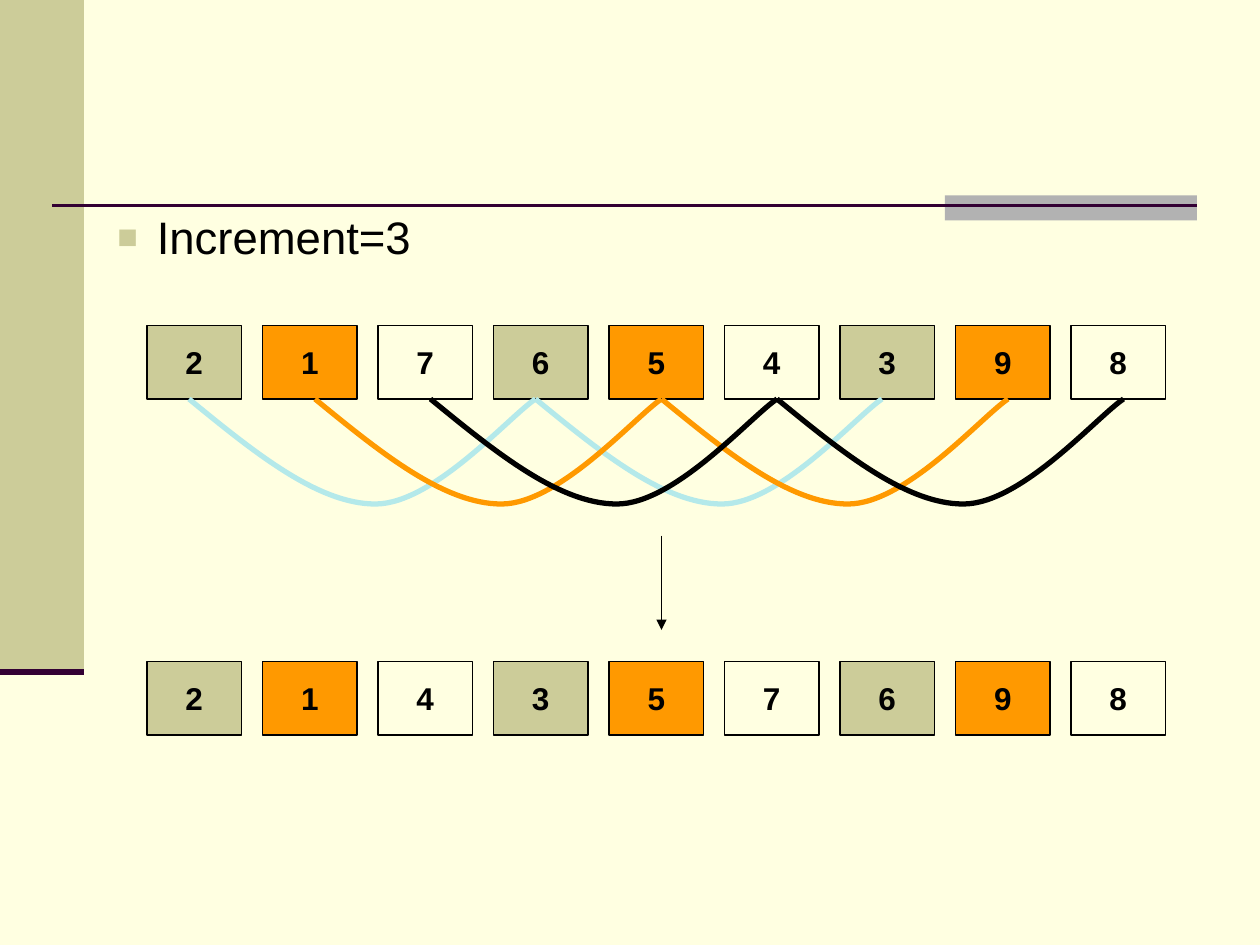
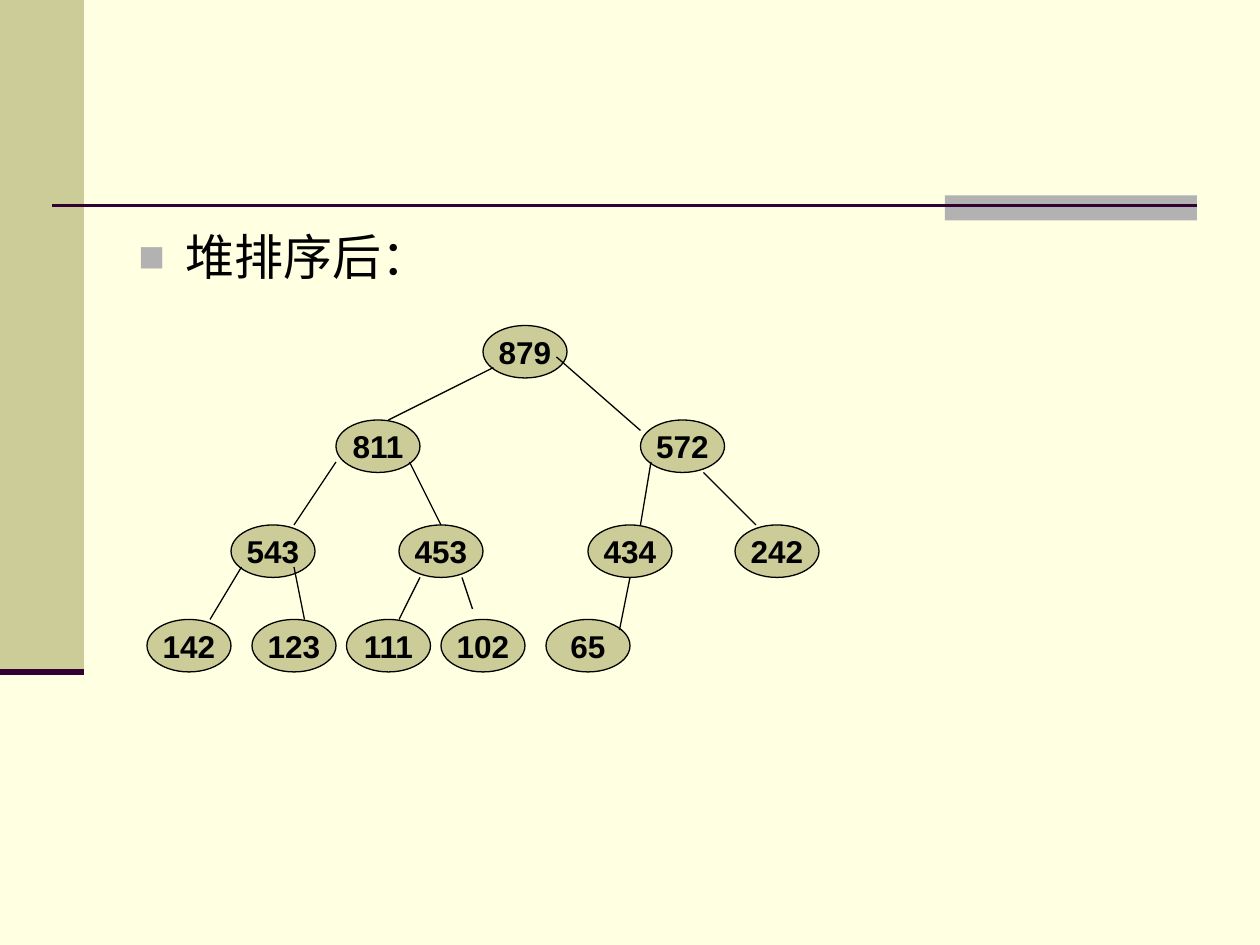
"""Builds two slides on sorting: a Shell sort pass and a sorted heap."""
from dataclasses import dataclass
from typing import NamedTuple, Optional

from lxml.etree import SubElement
from pptx import Presentation
from pptx.dml.color import RGBColor
from pptx.enum.shapes import MSO_CONNECTOR as Link, MSO_SHAPE as Kind
from pptx.enum.text import MSO_ANCHOR as Anchor, PP_ALIGN as Align
from pptx.oxml.ns import qn
from pptx.presentation import Presentation as Deck
from pptx.shapes.base import BaseShape as Shape
from pptx.slide import Slide
from pptx.util import Pt


@dataclass(frozen=True)
class Theme:
    font: str = "Arial"
    paper: str = "FFFFE1"
    olive: str = "CCCC99"
    orange: str = "FF9900"
    aqua: str = "B4E9EA"
    gray: str = "B2B2B2"
    plum: str = "330033"
    ink: str = "000000"
    label: float = 18
    thin: float = 0.75
    rule: float = 1.5
    arc: float = 3
    edge: float = 3.5


class Box(NamedTuple):
    left: float
    top: float
    width: float
    height: float


class Bullet(NamedTuple):
    color: str
    scale: int
    margin: float
    hang: float


class Node(NamedTuple):
    label: str
    left: float
    level: int


class Line(NamedTuple):
    x1: float
    y1: float
    x2: float
    y2: float


THEME = Theme()
CELL = Box(84, 186, 54, 42)
PITCH = 66
STEP = 3
BEFORE = "217654398"
AFTER = "214357698"
AFTER_TOP = 378
FILLS = (THEME.olive, THEME.orange, THEME.paper)
ARCS = ((108, THEME.aqua), (180, THEME.orange), (246, THEME.ink))
CURVE = ((36.7, 30), (73.4, 60), (106.5, 60), (139.7, 60), (183, 10), (198, 0))
LEVELS = (186, 240, 300, 354)
NODES = (
    Node("879", 276, 0), Node("811", 192, 1), Node("572", 366, 1),
    Node("543", 132, 2), Node("453", 228, 2), Node("434", 336, 2),
    Node("242", 420, 2), Node("142", 84, 3), Node("123", 144, 3),
    Node("111", 198, 3), Node("102", 252, 3), Node("65", 312, 3),
)
EDGES = (
    Line(282, 210, 222, 240), Line(318, 204, 366, 246),
    Line(192, 264, 168, 300), Line(234, 264, 252, 300),
    Line(372, 264, 366, 300), Line(402, 270, 432, 300),
    Line(138, 324, 120, 354), Line(168, 324, 174, 354),
    Line(240, 330, 228, 354), Line(264, 330, 270, 348),
    Line(360, 330, 354, 360),
)


def hue(code: str) -> RGBColor:
    return RGBColor.from_string(code)


def write(shape: Shape, text: str, *, size: float = THEME.label,
          bold: bool = False, align: Align = Align.LEFT,
          anchor: Anchor = Anchor.TOP, wrap: bool = True,
          bullet: Optional[Bullet] = None) -> None:
    frame = shape.text_frame
    frame.word_wrap = wrap
    frame.vertical_anchor = anchor
    para = frame.paragraphs[0]
    para.alignment = align
    if bullet:
        props = para._p.get_or_add_pPr()
        props.set("marL", str(Pt(bullet.margin)))
        props.set("indent", str(-Pt(bullet.hang)))
        tint = SubElement(props, qn("a:buClr"))
        SubElement(tint, qn("a:srgbClr"), val=bullet.color)
        SubElement(props, qn("a:buSzPct"), val=str(bullet.scale * 1000))
        SubElement(props, qn("a:buFont"), typeface=THEME.font)
        SubElement(props, qn("a:buChar"), char="■")
    run = para.add_run()
    run.text = text
    font = run.font
    font.name, font.size, font.bold = THEME.font, Pt(size), bold
    font.color.rgb = hue(THEME.ink)


def draw(slide: Slide, kind: Kind, box: Box, fill: str,
         text: str = "") -> None:
    shape = slide.shapes.add_shape(kind, *map(Pt, box))
    shape.shadow.inherit = False
    shape.fill.solid()
    shape.fill.fore_color.rgb = hue(fill)
    if text:
        shape.line.color.rgb = hue(THEME.ink)
        shape.line.width = Pt(THEME.thin)
        write(shape, text, bold=True, align=Align.CENTER,
              anchor=Anchor.MIDDLE, wrap=False)
    else:
        shape.line.fill.background()


def join(slide: Slide, line: Line, color: str = THEME.ink,
         width: float = THEME.thin, arrow: bool = False) -> None:
    link = slide.shapes.add_connector(Link.STRAIGHT, *map(Pt, line))
    link.line.color.rgb = hue(color)
    link.line.width = Pt(width)
    if arrow:
        SubElement(link.line._get_or_add_ln(), qn("a:tailEnd"), type="triangle")
    SubElement(link._element.spPr, qn("a:effectLst"))


def bend(slide: Slide, left: float, top: float, color: str) -> None:
    pen = slide.shapes.build_freeform(Pt(left), Pt(top))
    pen.add_line_segments([(Pt(left + x), Pt(top + y)) for x, y in CURVE],
                          close=False)
    shape = pen.convert_to_shape()
    shape.shadow.inherit = False
    shape.fill.background()
    shape.line.color.rgb = hue(color)
    shape.line.width = Pt(THEME.arc)
    track = next(shape._element.iter(qn("a:path")))
    parts = track.findall(qn("a:lnTo"))
    for start in range(0, len(parts), 3):
        cubic = SubElement(track, qn("a:cubicBezTo"))
        for part in parts[start:start + 3]:
            cubic.append(part[0])
            track.remove(part)


def start(deck: Deck, title: str, box: Box, size: float,
          bullet: Bullet) -> Slide:
    slide = deck.slides.add_slide(deck.slide_layouts[6])
    slide.background.fill.solid()
    slide.background.fill.fore_color.rgb = hue(THEME.paper)
    draw(slide, Kind.RECTANGLE, Box(0, 0, 48, 384), THEME.olive)
    draw(slide, Kind.RECTANGLE, Box(540, 111.6, 144, 14.4), THEME.gray)
    join(slide, Line(30, 117.5, 684, 117.5), THEME.plum, THEME.rule)
    join(slide, Line(0, 384, 48, 384), THEME.plum, THEME.edge)
    body = slide.shapes.add_textbox(*map(Pt, box))
    write(body, title, size=size, bullet=bullet)
    return slide


def cells(slide: Slide, top: float, digits: str) -> None:
    for spot, digit in enumerate(digits):
        box = CELL._replace(left=CELL.left + spot * PITCH, top=top)
        draw(slide, Kind.RECTANGLE, box, FILLS[spot % STEP], digit)


def shell(deck: Deck) -> None:
    slide = start(deck, "Increment=3", Box(24, 116, 648, 396), 26,
                  Bullet(THEME.olive, 75, 58.5, 22.5))
    cells(slide, CELL.top, BEFORE)
    for left, color in ARCS:
        for turn in range(2):
            bend(slide, left + turn * STEP * PITCH, CELL.top + CELL.height, color)
    cells(slide, AFTER_TOP, AFTER)
    join(slide, Line(378, 306, 378, 360), arrow=True)


def heap(deck: Deck) -> None:
    slide = start(deck, "堆排序后：", Box(72, 126, 612, 356.4), 28,
                  Bullet(THEME.gray, 90, 27, 27))
    for node in NODES:
        box = Box(node.left, LEVELS[node.level], 48, 30)
        draw(slide, Kind.OVAL, box, THEME.olive, node.label)
    for edge in EDGES:
        join(slide, edge)


def main() -> None:
    deck = Presentation()
    deck.slide_width, deck.slide_height = Pt(720), Pt(540)
    shell(deck)
    heap(deck)
    deck.save("out.pptx")


if __name__ == "__main__":
    main()
